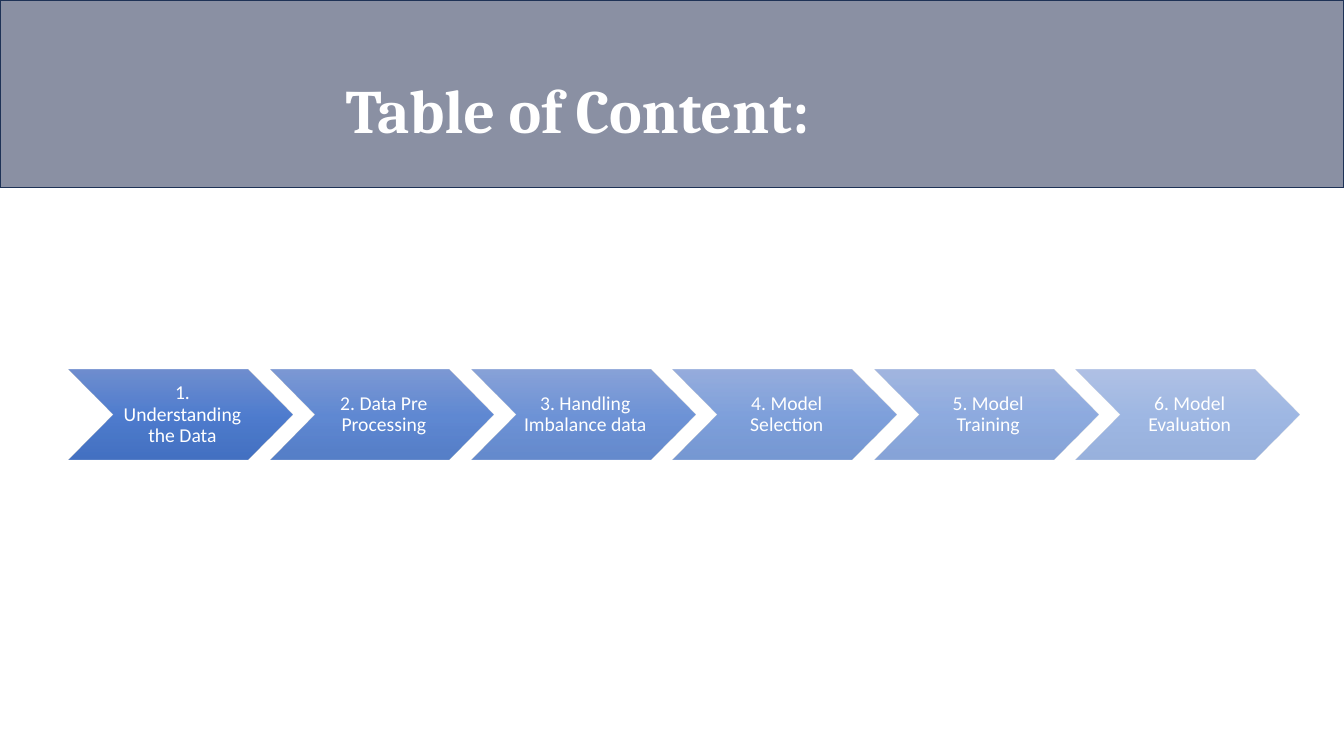
import dataclasses

import lxml.etree
import pptx
import pptx.dml.color
import pptx.enum.shapes
import pptx.enum.text
import pptx.oxml.ns
import pptx.util

Inches = pptx.util.Inches
Pt = pptx.util.Pt
Color = pptx.dml.color.RGBColor.from_string
Shapes = pptx.enum.shapes.MSO_SHAPE
Align = pptx.enum.text.PP_ALIGN
qn = pptx.oxml.ns.qn


@dataclasses.dataclass(frozen=True)
class Theme:
    """Colours, fonts and type sizes of the slide."""
    band: str = "162349"
    band_line: str = "1E3256"
    text: str = "FFFFFF"
    gradient: tuple = ((0, "6183CB"), (50, "3E70CA"), (100, "3062BB"))
    title_font: str = "Cambria"
    title_size: int = 44
    step_font: str = "Calibri"
    step_size: int = 14


THEME = Theme()
STEPS = (
    "1. Understanding the Data",
    "2. Data Pre Processing",
    "3. Handling Imbalance data",
    "4. Model Selection",
    "5. Model Training",
    "6. Model Evaluation",
)


def set_opacity(color, percent):
    """Give a colour element an opacity in percent."""
    lxml.etree.SubElement(color, qn("a:alpha")).set("val", str(percent * 1000))


def fill_gradient(shape, percent):
    """Fill a shape from top to bottom with the theme gradient."""
    shape.fill.gradient()
    shape.fill.gradient_angle = 270
    stops = shape.fill._xPr.find(qn("a:gradFill")).find(qn("a:gsLst"))
    for stop in list(stops):
        stops.remove(stop)
    for position, value in THEME.gradient:
        stop = lxml.etree.SubElement(stops, qn("a:gs"))
        stop.set("pos", str(position * 1000))
        color = lxml.etree.SubElement(stop, qn("a:srgbClr"))
        color.set("val", value)
        set_opacity(color, percent)


def add_text(page, box, text, font, size, align, margins, bold=False):
    """Place one vertically centred paragraph in a box."""
    label = page.shapes.add_textbox(*map(Inches, box))
    frame = label.text_frame
    frame.word_wrap = True
    frame.vertical_anchor = pptx.enum.text.MSO_ANCHOR.MIDDLE
    (frame.margin_left, frame.margin_top,
     frame.margin_right, frame.margin_bottom) = map(Inches, margins)
    para = frame.paragraphs[0]
    para.text = text
    para.alignment = align
    para.line_spacing = 0.9
    para.font.name = font
    para.font.size = Pt(size)
    para.font.bold = bold
    para.font.color.rgb = Color(THEME.text)


def add_header(page, box):
    """Draw the title band and its title."""
    left, top, width, height = box
    band = page.shapes.add_shape(Shapes.RECTANGLE, *map(Inches, box))
    band.shadow.inherit = False
    band.fill.solid()
    band.fill.fore_color.rgb = Color(THEME.band)
    set_opacity(band.fill._xPr.find(qn("a:solidFill"))[0], 50)
    band.line.color.rgb = Color(THEME.band_line)
    band.line.width = Pt(1)
    add_text(page, (left + 3.33, top + 0.4, width - 4.24, height - 0.41),
             "Table of Content:", THEME.title_font, THEME.title_size,
             Align.LEFT, (0.1, 0.05, 0.1, 0.05), bold=True)


def add_steps(page, box):
    """Draw the row of overlapping chevrons, fading to the right."""
    left, top, width, height = box
    chevron_width = 2.22
    pitch = (width - chevron_width) / (len(STEPS) - 1)
    notch = height / 2
    for index, step in enumerate(STEPS):
        x = left + index * pitch
        chevron = page.shapes.add_shape(
            Shapes.CHEVRON, *map(Inches, (x, top, chevron_width, height)))
        chevron.shadow.inherit = False
        chevron.line.fill.background()
        fill_gradient(chevron, 90 - 8 * index)
        add_text(page, (x + notch, top, chevron_width - 2 * notch, height),
                 step, THEME.step_font, THEME.step_size,
                 Align.CENTER, (0.06, 0.02, 0.02, 0.02))


def main():
    """Build the deck and save it."""
    deck = pptx.Presentation()
    deck.slide_width = Inches(13.33)
    deck.slide_height = Inches(7.5)
    page = deck.slides.add_slide(deck.slide_layouts[6])
    add_header(page, (0, 0, 13.33, 1.86))
    add_steps(page, (0.68, 3.67, 12.21, 0.89))
    deck.save("out.pptx")


if __name__ == "__main__":
    main()
